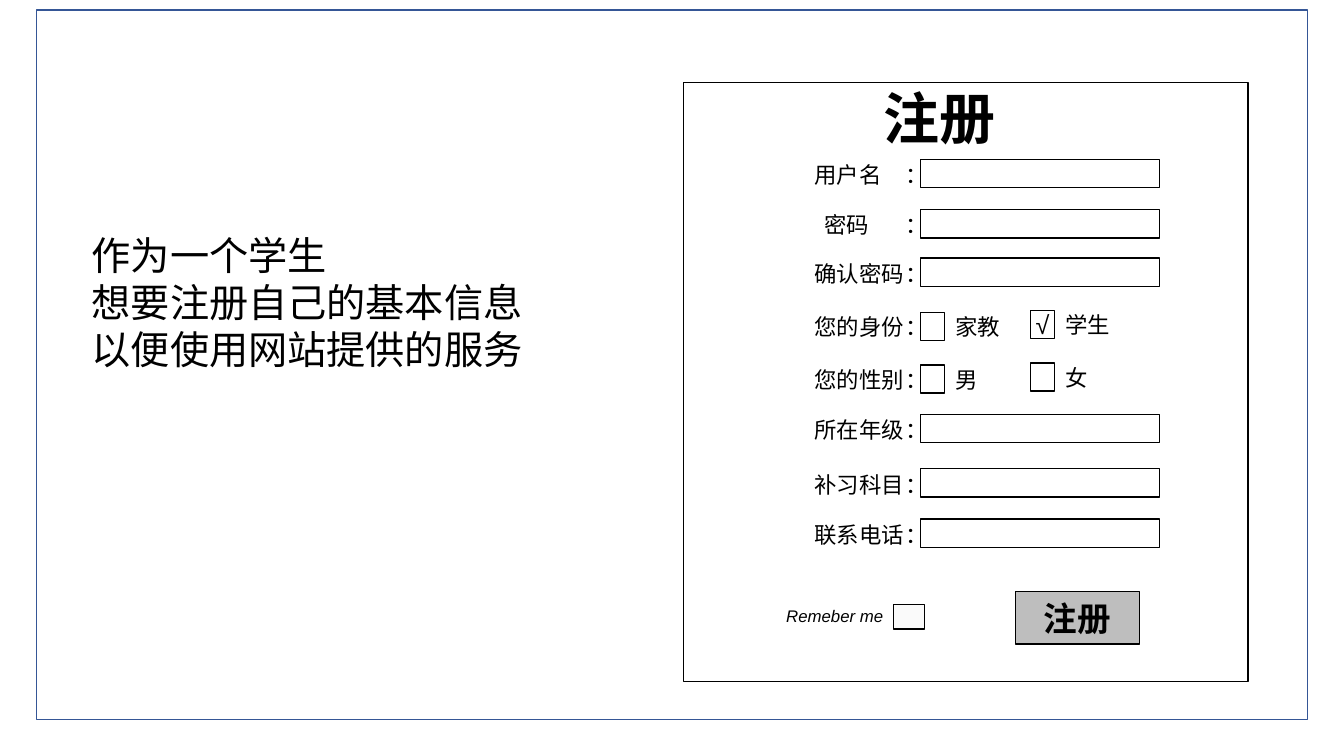
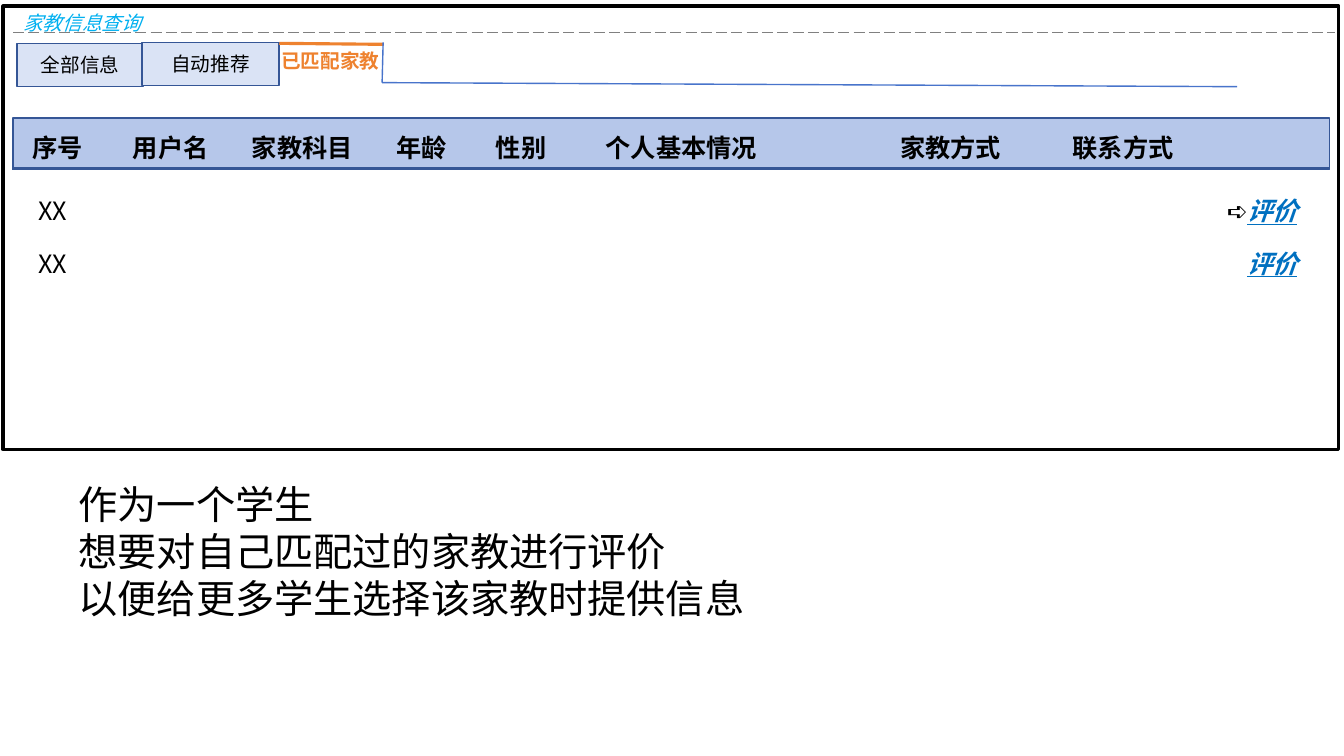
from dataclasses import dataclass
from typing import Any, NamedTuple

from lxml import etree
from pptx import Presentation
from pptx.dml.color import RGBColor
from pptx.enum.dml import MSO_LINE
from pptx.enum.shapes import MSO_CONNECTOR, MSO_SHAPE
from pptx.enum.text import MSO_ANCHOR, MSO_AUTO_SIZE, PP_ALIGN
from pptx.oxml.ns import qn
from pptx.util import Inches, Length, Pt

# Enum members
RECT = MSO_SHAPE.RECTANGLE
STRAIGHT = MSO_CONNECTOR.STRAIGHT
DASH = MSO_LINE.LONG_DASH
LEFT, CENTER = PP_ALIGN.LEFT, PP_ALIGN.CENTER
TOP, MIDDLE = MSO_ANCHOR.TOP, MSO_ANCHOR.MIDDLE
FIXED = MSO_AUTO_SIZE.NONE

# Colours
BLACK = RGBColor(0x00, 0x00, 0x00)
WHITE = RGBColor(0xFF, 0xFF, 0xFF)
PALE = RGBColor(0xFA, 0xFA, 0xFA)
SILVER = RGBColor(0xBE, 0xBE, 0xBE)
GRAY = RGBColor(0x80, 0x80, 0x80)
NAVY = RGBColor(0x35, 0x56, 0x96)
BLUE = RGBColor(0x48, 0x74, 0xCB)
BAND = RGBColor(0xB6, 0xC7, 0xEA)
MIST = RGBColor(0xDA, 0xE3, 0xF5)
SKY = RGBColor(0x00, 0xB0, 0xF0)
LINK = RGBColor(0x00, 0x70, 0xC0)
ORANGE = RGBColor(0xEE, 0x82, 0x2F)

# Fonts and grid: ten cells to the inch
HAN = "Noto Sans CJK SC"
ARIAL = "Arial"
CELL = 0.1
THICK = 2.25


class Box(NamedTuple):
    x: float
    y: float
    w: float
    h: float


@dataclass(frozen=True)
class Look:
    size: float
    color: RGBColor = BLACK
    bold: bool = False
    italic: bool = False
    underline: bool = False
    name: str = HAN


@dataclass(frozen=True)
class Field:
    label: str
    y: float
    shift: float = 0
    picks: tuple[tuple[str, str], ...] = ()


class Head(NamedTuple):
    label: str
    x: float
    w: float


class Rule(NamedTuple):
    start: tuple[float, float]
    end: tuple[float, float]
    color: RGBColor
    width: float = 1
    dash: Any = None


# Text looks
STORY = Look(28)
LABEL = Look(16)
TAB = Look(14)
CELLS = Look(18)
HEADS = Look(18, bold=True)
RATE = Look(18, LINK, bold=True, italic=True, underline=True)

# Form rows
FIELDS = (
    Field("用户名", 15.5),
    Field("密码", 20.5, 1),
    Field("确认密码", 25.3),
    Field("您的身份", 30.6, picks=(("家教", ""), ("学生", "√"))),
    Field("您的性别", 35.8, picks=(("男", ""), ("女", ""))),
    Field("所在年级", 40.8),
    Field("补习科目", 46.2),
    Field("联系电话", 51.2),
)
COLON = 9

# Columns of the tutor list
COLUMNS = (
    Head("序号", 2.2, 10.8),
    Head("用户名", 12.2, 10.8),
    Head("家教科目", 24, 12.8),
    Head("年龄", 38.3, 10.8),
    Head("性别", 48.2, 10.8),
    Head("个人基本情况", 59.1, 23.8),
    Head("家教方式", 88.3, 14.3),
    Head("联系方式", 105.4, 16.1),
)


def span(cells: float) -> Length:
    return Inches(cells * CELL)


def write(shape: Any, lines: list[str], look: Look, align: Any = LEFT,
          anchor: Any = TOP, wrap: bool = True) -> None:
    """Fill a shape, text box or placeholder with plain paragraphs."""
    frame = shape.text_frame
    form = {"word_wrap": wrap, "auto_size": FIXED, "vertical_anchor": anchor}
    for key, value in form.items():
        setattr(frame, key, value)
    style = {"size": Pt(look.size), "bold": look.bold, "italic": look.italic,
             "underline": look.underline, "name": look.name}
    for num, line in enumerate(lines):
        para = frame.paragraphs[0] if num == 0 else frame.add_paragraph()
        para.alignment = align
        para.space_before = Pt(0)
        run = para.add_run()
        run.text = line
        for key, value in style.items():
            setattr(run.font, key, value)
        run.font.color.rgb = look.color
        east = etree.Element(qn("a:ea"), typeface=HAN)
        run.font._element.find(qn("a:latin")).addnext(east)


def rect(slide: Any, box: Box, fill: RGBColor = WHITE, line: RGBColor = BLACK,
         width: float = 1) -> Any:
    shape = slide.shapes.add_shape(RECT, *map(span, box))
    shape.shadow.inherit = False
    shape.fill.solid()
    shape.fill.fore_color.rgb = fill
    shape.line.color.rgb = line
    shape.line.width = Pt(width)
    return shape


def button(slide: Any, box: Box, text: str, look: Look, fill: RGBColor) -> Any:
    shape = rect(slide, box, fill, BLACK if fill in (WHITE, SILVER) else NAVY)
    for side in ("left", "right", "top", "bottom"):
        setattr(shape.text_frame, f"margin_{side}", 0)
    write(shape, [text], look, CENTER, MIDDLE)
    return shape


def note(slide: Any, box: Box, text: str, look: Look, wrap: bool = True) -> Any:
    shape = slide.shapes.add_textbox(*map(span, box))
    write(shape, [text], look, wrap=wrap)
    return shape


def draw(slide: Any, rule: Rule) -> None:
    line = slide.shapes.add_connector(
        STRAIGHT, *map(span, rule.start + rule.end))
    line.line.color.rgb = rule.color
    line.line.width = Pt(rule.width)
    if rule.dash is not None:
        line.line.dash_style = rule.dash
    etree.SubElement(line._element.spPr, qn("a:effectLst"))


def hold(slide: Any, shape: Any, box: Box, lines: list[str], look: Look) -> None:
    """Place a template placeholder above the panels, without bullets."""
    for key, value in zip(("left", "top", "width", "height"), box):
        setattr(shape, key, span(value))
    write(shape, lines, look)
    for para in shape.text_frame.paragraphs:
        props = para._p.get_or_add_pPr()
        props.set("marL", "0")
        props.set("indent", "0")
        etree.SubElement(props, qn("a:buNone"))
    slide.shapes._spTree.append(shape._element)


def field(slide: Any, row: Field) -> None:
    label = note(slide, Box(79.8 + row.shift, row.y, 19.5 - row.shift, 3.7),
                 f"{row.label}\t：", LABEL)
    props = label.text_frame.paragraphs[0]._p.get_or_add_pPr()
    stops = etree.SubElement(props, qn("a:tabLst"))
    etree.SubElement(stops, qn("a:tab"), algn="l",
                     pos=str(span(COLON - row.shift)))
    if not row.picks:
        rect(slide, Box(91.3, row.y + 0.3, 23.7, 2.8))
    for num, (text, mark) in enumerate(row.picks):
        x, y = 91.3 + 10.9 * num, row.y - 0.2 * num
        box = Box(x, y + 0.4, 2.4, 2.8)
        if mark:
            button(slide, box, mark, Look(18, name=ARIAL), WHITE)
        else:
            rect(slide, box)
        note(slide, Box(x + 2.5, y, 8.1, 3.7), text, LABEL)


def signup(deck: Any) -> None:
    slide = deck.slides.add_slide(deck.slide_layouts[1])
    title, body = slide.placeholders
    # Panels
    rect(slide, Box(3.6, 1, 126.1, 70.4), line=NAVY)
    rect(slide, Box(67.8, 8.2, 56, 59.4))
    hold(slide, title, Box(86.6, 7.8, 22.4, 7.7), ["注册"], Look(40, bold=True))
    # Form
    for row in FIELDS:
        field(slide, row)
    note(slide, Box(77, 59.6, 15.3, 3), "Remeber me",
         Look(12, italic=True, name=ARIAL))
    rect(slide, Box(88.6, 60, 3.1, 2.4), PALE)
    button(slide, Box(100.7, 58.7, 12.3, 5.2), "注册",
           Look(24, bold=True, name=ARIAL), SILVER)
    # Story
    hold(slide, body, Box(8.1, 22.4, 58, 15.1),
         ["作为一个学生", "想要注册自己的基本信息", "以便使用网站提供的服务"], STORY)


def review(deck: Any) -> None:
    slide = deck.slides.add_slide(deck.slide_layouts[1])
    title, body = slide.placeholders
    # Panel and title
    rect(slide, Box(0.3, 0.6, 132.5, 44), width=THICK)
    hold(slide, title, Box(1.3, 0.6, 15.8, 3.4), ["家教信息查询"],
         Look(14, SKY, italic=True))
    # Tabs
    button(slide, Box(1.7, 4.3, 12.5, 4.3), "全部信息", TAB, MIST)
    button(slide, Box(14.1, 4.2, 13.6, 4.3), "自动推荐", TAB, MIST)
    note(slide, Box(26.9, 4.4, 13.5, 3.4), "已匹配家教",
         Look(14, ORANGE, bold=True))
    # Header band and rules
    rect(slide, Box(1.3, 11.7, 130.6, 5.1), BAND, NAVY)
    for rule in (
        Rule((1.3, 3.2), (132.4, 3.2), GRAY, dash=DASH),
        Rule((27.7, 4.3), (38, 4.4), ORANGE, THICK),
        Rule((38, 4.2), (37.9, 8.2), BLUE),
        Rule((37.9, 8.2), (122.7, 8.6), BLUE),
        Rule((1.2, 16.7), (131.8, 16.7), NAVY, THICK),
    ):
        draw(slide, rule)
    for head in COLUMNS:
        note(slide, Box(head.x, 12.6, head.w, 4), head.label, HEADS)
    # Tutor rows
    for y in (18.9, 24.1):
        note(slide, Box(2.8, y, 8.2, 4), "XX", CELLS)
        note(slide, Box(122.7, y, 8.1, 4), "评价", RATE)
    note(slide, Box(120.7, 18.9, 4.5, 4), "➪", CELLS, wrap=False)
    # Story
    hold(slide, body, Box(6.8, 47.1, 101.5, 18.4),
         ["作为一个学生", "想要对自己匹配过的家教进行评价",
          "以便给更多学生选择该家教时提供信息"], STORY)


def main() -> None:
    deck = Presentation()
    deck.slide_width, deck.slide_height = Inches(13.33), Inches(7.5)
    signup(deck)
    review(deck)
    deck.save("out.pptx")


if __name__ == "__main__":
    main()
